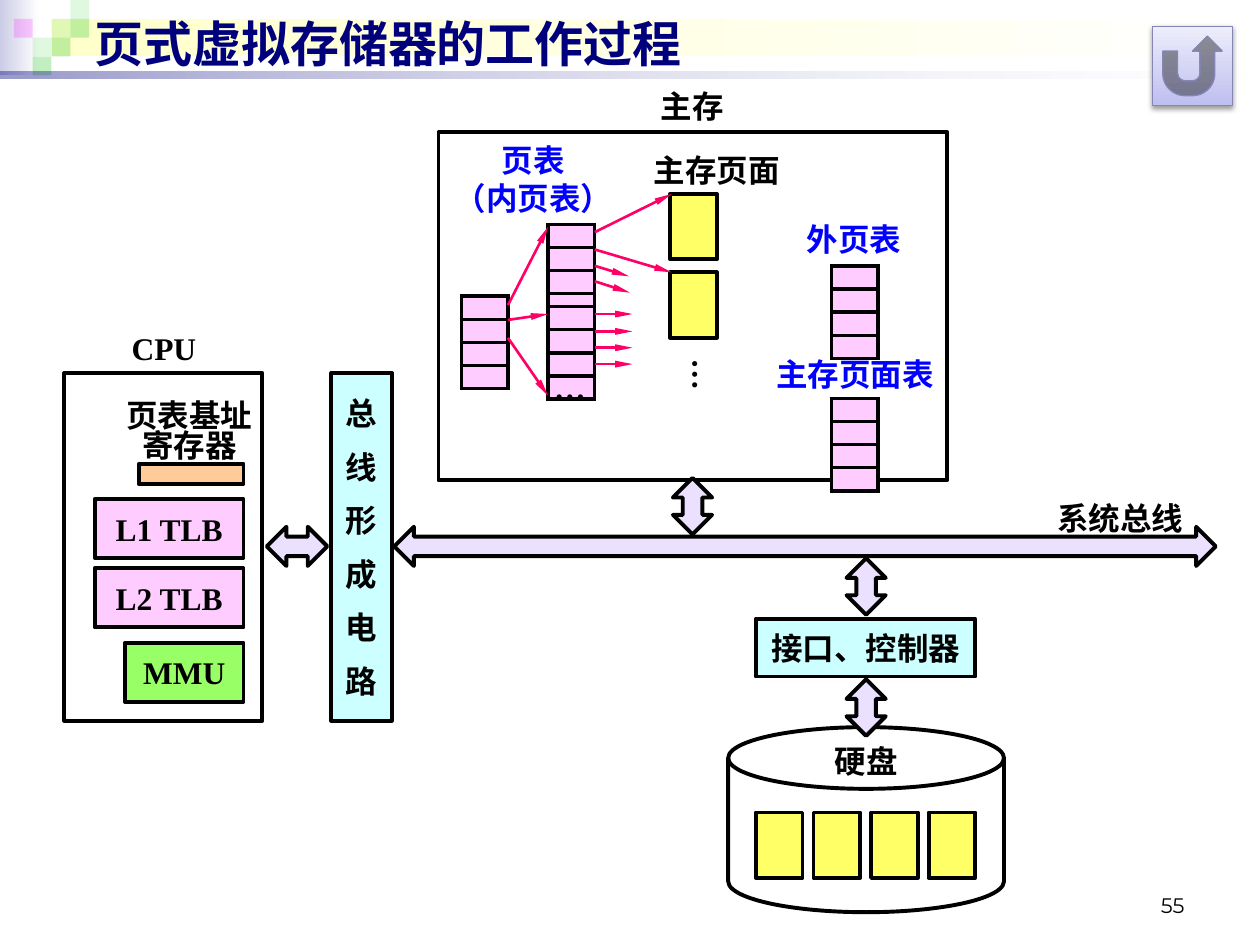
import collections
import lxml.etree
import pptx
import pptx.dml.color
import pptx.enum.shapes
import pptx.enum.text
import pptx.oxml
import pptx.oxml.ns
import pptx.util

Cm, Pt = pptx.util.Cm, pptx.util.Pt
RGB = pptx.dml.color.RGBColor
SHAPE = pptx.enum.shapes.MSO_SHAPE
ALIGN = pptx.enum.text.PP_ALIGN
ANCHOR = pptx.enum.text.MSO_ANCHOR
qn = pptx.oxml.ns.qn

BLACK, WHITE = RGB(0, 0, 0), RGB(255, 255, 255)
NAVY, BLUE, RED = RGB(0, 0, 0x7D), RGB(0, 0, 255), RGB(0xFF, 0, 0x66)
PINK, YELLOW, CYAN = RGB(0xFF, 0xCC, 0xFF), RGB(0xFF, 0xFF, 0x66), RGB(0xCC, 0xFF, 0xFF)
LIME, PEACH, LAVENDER = RGB(0x99, 0xFF, 0x66), RGB(0xFF, 0xCC, 0x99), RGB(0xEB, 0xE1, 0xFF)
GREEN, MAGENTA = RGB(0x33, 0xCC, 0x33), RGB(255, 0, 255)
PALE_BLUE, CREAM = RGB(0xCC, 0xCC, 0xE6), RGB(0xFF, 0xFF, 0xCC)
BUTTON_DARK, BUTTON_LIGHT, BUTTON_EDGE = RGB(0xBF, 0xBF, 0xF0), RGB(0xED, 0xED, 0xFB), RGB(0x86, 0x86, 0xB6)

# All lengths below are in centimetres
Box = collections.namedtuple("Box", "left top width height")
PAGE_W, PAGE_H = 0.94, 1.32
ARROW_W, ARROW_H = 1.14, 0.79
LABEL_H = 1.02


def inside(box, x, y, width, height):
    return Box(box.left + x, box.top + y, width, height)


def emu(box):
    return [Cm(length) for length in box]


def set_alpha(color_parent, percent):
    color = next(color_parent.iter(qn("a:srgbClr")))
    lxml.etree.SubElement(color, qn("a:alpha")).set("val", str(percent * 1000))


def write(frame, lines, color=BLACK, size=18, font="Times New Roman", align=ALIGN.CENTER,
          gap=9, spacing=None):
    frame.word_wrap = False
    for i, line in enumerate(lines.split("\n")):
        paragraph = frame.paragraphs[0] if i == 0 else frame.add_paragraph()
        paragraph.text = line
        paragraph.alignment = align
        paragraph.space_before = Pt(gap if i else 0)
        paragraph.line_spacing = spacing
        paragraph.font.name, paragraph.font.size = font, Pt(size)
        paragraph.font.bold = font != "Montserrat"
        paragraph.font.color.rgb = color


def add_label(slide, box, lines, **style):
    label = slide.shapes.add_textbox(*emu(box))
    write(label.text_frame, lines, **style)
    return label


def add_block(slide, box, fill=None, lines=None, kind=SHAPE.RECTANGLE, outlined=True):
    block = slide.shapes.add_shape(kind, *emu(box))
    block.shadow.inherit = False
    if fill is None:
        block.fill.background()
    else:
        block.fill.solid()
        block.fill.fore_color.rgb = fill
    if outlined:
        block.line.color.rgb, block.line.width = BLACK, Pt(2.25)
    else:
        block.line.fill.background()
    if lines:
        block.text_frame.vertical_anchor = ANCHOR.MIDDLE
        write(block.text_frame, lines)
    return block


def fade(block, start, end, angle=0):
    block.fill.gradient()
    block.fill.gradient_angle = angle
    for stop, color, position in zip(block.fill.gradient_stops, (start, end), (0, 1)):
        stop.color.rgb, stop.position = color, position


def add_double_arrow(slide, box, rotation=0):
    add_block(slide, box, LAVENDER, kind=SHAPE.LEFT_RIGHT_ARROW).rotation = rotation


def add_pointer(slide, box, x1, y1, x2, y2):
    pointer = slide.shapes.add_connector(
        pptx.enum.shapes.MSO_CONNECTOR.STRAIGHT, Cm(box.left + x1), Cm(box.top + y1),
        Cm(box.left + x2), Cm(box.top + y2))
    pointer.line.color.rgb, pointer.line.width = RED, Pt(1.5)
    head = lxml.etree.SubElement(pointer.line._get_or_add_ln(), qn("a:tailEnd"))
    for key, value in (("type", "triangle"), ("w", "sm"), ("len", "lg")):
        head.set(key, value)
    lxml.etree.SubElement(pointer._element.spPr, qn("a:effectLst"))


def add_entries(slide, box):
    """Four-row page table without text."""
    table = slide.shapes.add_table(4, 1, *emu(box)).table
    table.first_row = table.horz_banding = False
    for cell in table.iter_cells():
        cell.text_frame.paragraphs[0]._p.get_or_add_endParaRPr().set("sz", "500")
        properties = cell._tc.get_or_add_tcPr()
        for side in ("lnL", "lnR", "lnT", "lnB"):
            border = lxml.etree.SubElement(properties, qn("a:" + side), w=str(Pt(2.25)))
            solid = lxml.etree.SubElement(border, qn("a:solidFill"))
            lxml.etree.SubElement(solid, qn("a:srgbClr"), val=str(BLACK))
        cell.fill.solid()
        cell.fill.fore_color.rgb = PINK


def build_header(slide, box):
    # Fading bands
    for place, start, end in (((0, 0, 0.79, 1.52), PALE_BLUE, WHITE),
                              ((1.04, 0.38, 24.26, 0.76), CREAM, WHITE)):
        fade(add_block(slide, inside(box, *place), WHITE, outlined=False), start, end)
    # Mosaic squares: column, row, colour, opacity
    side = 0.38
    for column, row, color, opacity in ((2, 1, GREEN, 15), (3, 0, GREEN, 15), (3, 1, GREEN, 30),
                                        (1, 2, GREEN, 15), (0, 1, MAGENTA, 20),
                                        (2, 2, GREEN, 30), (1, 3, GREEN, 30)):
        square = add_block(slide, inside(box, 0.28 + column * side, row * side, side, side),
                           color, outlined=False)
        set_alpha(square._element.spPr, opacity)
    # Rule under the title
    rule = add_block(slide, inside(box, 0, 1.45, box.width, 0.13), NAVY, outlined=False)
    fade(rule, NAVY, WHITE)
    for stop, opacity in zip(rule._element.spPr.iter(qn("a:gs")), (40, 10)):
        set_alpha(stop, opacity)
    # Title, raised above the bands
    title = slide.shapes.title
    title.left, title.top, title.width, title.height = emu(inside(box, 1.65, 0.13, 22.86, 1.45))
    title.text_frame.vertical_anchor = ANCHOR.MIDDLE
    write(title.text_frame, "页式虚拟存储器的工作过程", NAVY, 28, "Arial", ALIGN.LEFT)
    slide.shapes._spTree.append(title._element)


def build_return_button(slide, box):
    button = add_block(slide, box, WHITE, kind=SHAPE.ACTION_BUTTON_RETURN)
    fade(button, BUTTON_DARK, BUTTON_LIGHT, 90)
    button.line.color.rgb, button.line.width = BUTTON_EDGE, Pt(0.75)
    effects = button._element.spPr.find(qn("a:effectLst"))
    shadow = lxml.etree.SubElement(effects, qn("a:outerShdw"), blurRad=str(Pt(3.1)),
                                   dist=str(Pt(1.6)), dir="5400000", rotWithShape="0")
    lxml.etree.SubElement(shadow, qn("a:srgbClr"), val=str(BLACK))
    set_alpha(shadow, 38)


def build_cpu(slide, box):
    add_block(slide, box)
    add_label(slide, inside(box, 1.09, -LABEL_H, 1.83, LABEL_H), "CPU")
    add_block(slide, inside(box, 1.22, 5.44, 2.39, 1.19), LIME, "MMU")
    for level in (1, 2):
        add_block(slide, inside(box, 0.61, 1.14 + 1.4 * level, 3, 1.19), PINK, f"L{level} TLB")
    add_block(slide, inside(box, 1.5, 1.83, 2.11, 0.41), PEACH)
    add_label(slide, inside(box, 0.97, 0.48, 3.1, 1.5), "页表基址\n寄存器", gap=0, spacing=0.8)


def build_bus(slide, box):
    add_block(slide, inside(box, 1.3, 0, 1.22, box.height), CYAN, "总\n线\n形\n成\n电\n路")
    add_double_arrow(slide, inside(box, 0, 3.1, 1.22, ARROW_H))
    add_double_arrow(slide, inside(box, 2.57, 3.1, 16.56, ARROW_H))
    add_label(slide, inside(box, 15.65, 2.41, 3.1, LABEL_H), "系统总线")


def build_memory(slide, box):
    add_block(slide, box)
    add_double_arrow(slide, inside(box, 4.55, 7.14, ARROW_W, ARROW_H), 90)
    # Page tables
    for x, y in ((0.46, 3.3), (2.21, 1.85), (2.21, 3.51), (7.92, 2.69), (7.92, 5.36)):
        add_entries(slide, inside(box, x, y, 0.94, 1.32))
    # Main-memory pages
    for y in (1.24, 2.82):
        add_block(slide, inside(box, 4.67, y, PAGE_W, PAGE_H), YELLOW)
    # Pointers from the base table, then from the inner page tables
    for start, end in ((3.48, 1.9), (3.78, 3.66), (4.14, 5.31)):
        add_pointer(slide, box, 1.4, start, 2.21, end)
    for start, x, end in ((2.01, 4.7, 1.24), (2.36, 4.7, 2.82), (2.69, 3.84, 2.9),
                          (3, 3.86, 3.23), *((y, 3.91, y) for y in (3.66, 4.01, 4.34, 4.67))):
        add_pointer(slide, box, 3.15, start, x, end)
    # Labels
    add_label(slide, inside(box, 2.08, 4.62, 1.14, LABEL_H), "…")
    add_label(slide, inside(box, 4.39, 4.37, 1.14, LABEL_H), "…").rotation = 270
    add_label(slide, inside(box, 0.05, 0.05, 3.73, 1.8), "页表\n（内页表）", color=BLUE, gap=0)
    for x, y, width, name, color in ((4.22, -1.04, 1.8, "主存", BLACK),
                                     (4.06, 0.25, 3.1, "主存页面", BLACK),
                                     (7.16, 1.65, 2.44, "外页表", BLUE),
                                     (6.53, 4.37, 3.73, "主存页面表", BLUE)):
        add_label(slide, inside(box, x, y, width, LABEL_H), name, color=color)


def build_disk(slide, box):
    add_block(slide, inside(box, 0.56, 1.04, 4.42, 1.17), CYAN, "接口、控制器")
    add_block(slide, inside(box, 0, 3.23, box.width, 3.73), kind=SHAPE.FLOWCHART_MAGNETIC_DISK)
    for y in (0, 2.44):
        add_double_arrow(slide, inside(box, 2.21, y, ARROW_W, ARROW_H), 90)
    for i in range(4):
        add_block(slide, inside(box, 0.56 + 1.16 * i, 4.95, PAGE_W, PAGE_H), YELLOW)
    add_label(slide, inside(box, 1.88, 3.4, 1.8, LABEL_H), "硬盘")


def main():
    deck = pptx.Presentation()
    deck.slide_width, deck.slide_height = Cm(25.4), Cm(19.05)
    slide = deck.slides.add_slide(deck.slide_layouts[5])
    build_header(slide, Box(0, 0, 25.4, 1.58))
    number = add_label(slide, Box(18.21, 17.6, 5.92, 1.02), "55", size=12, font="Montserrat",
                       align=ALIGN.RIGHT)
    number.text_frame.vertical_anchor = ANCHOR.BOTTOM
    number.text_frame.word_wrap = True
    build_cpu(slide, Box(1.3, 7.52, 3.99, 7.01))
    build_bus(slide, Box(5.38, 7.52, 19.13, 7.01))
    build_memory(slide, Box(8.84, 2.67, 10.26, 7.01))
    build_disk(slide, Box(14.68, 11.43, 5.56, 6.96))
    build_return_button(slide, Box(23.24, 0.53, 1.6, 1.6))
    deck.save("out.pptx")


if __name__ == "__main__":
    main()
